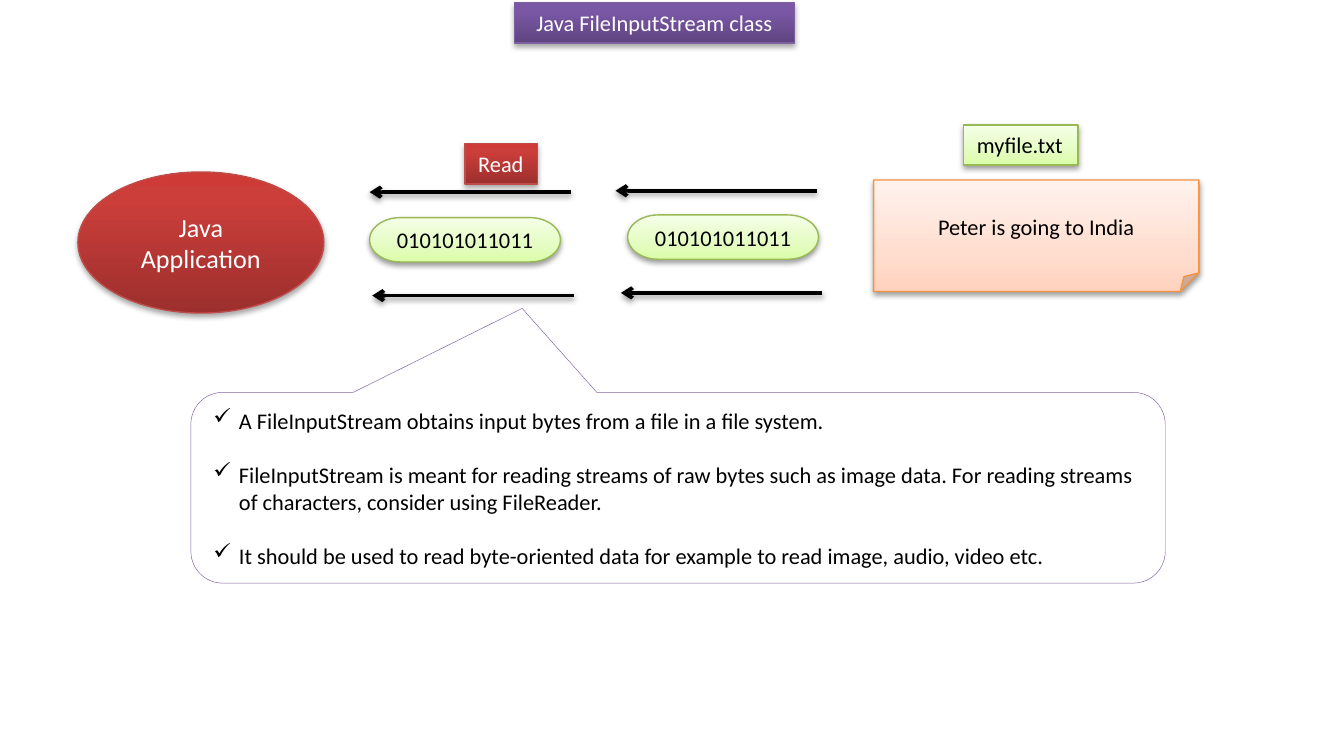
from dataclasses import dataclass

from lxml import etree
from pptx import Presentation
from pptx.dml.color import RGBColor
from pptx.enum import shapes, text
from pptx.oxml import ns
from pptx.util import Inches, Pt


@dataclass(frozen=True)
class Style:
    stops: tuple
    outline: str
    ink: str
    shadow_distance: float = 1.6
    shadow_opacity: int = 38


@dataclass(frozen=True)
class Theme:
    font: str = "Calibri"
    body: float = 12
    large: float = 14
    paragraph_gap: float = 14.5
    black: str = "000000"
    white: str = "FFFFFF"
    callout_line: str = "8064A2"
    purple: Style = Style(((0, "5F4480"), (80, "7B58A6"), (100, "7C57A8")),
                          "7D60A0", "FFFFFF", 1.8, 35)
    red: Style = Style(((0, "9C2F2D"), (80, "CB3E3A"), (100, "CE3B37")),
                       "BF4C48", "FFFFFF", 1.8, 35)
    green: Style = Style(((0, "DAFDA7"), (35, "E4FCC2"), (100, "F5FFE7")),
                         "98B955", "000000")
    orange: Style = Style(((0, "FFD2BD"), (35, "FFDED0"), (100, "FFF2ED")),
                          "F69240", "000000")


THEME = Theme()


def add_xml(parent, tag, **attributes):
    return etree.SubElement(parent, ns.qn(tag), attributes)


def add_color(parent, color):
    return add_xml(parent, "a:srgbClr", val=color)


def add_shadow(effects, distance, opacity):
    shadow = add_xml(effects, "a:outerShdw", blurRad=str(Pt(3.1)),
                     dist=str(Pt(distance)), dir="5400000", rotWithShape="0")
    add_xml(add_color(shadow, THEME.black), "a:alpha", val=str(opacity * 1000))


def set_line(line, color, width):
    line.color.rgb = RGBColor.from_string(color)
    line.width = Pt(width)


def decorate(shape, style):
    shape.fill.gradient()
    shape.fill.gradient_angle = 90
    properties = shape.element.spPr
    stops = properties.find(".//" + ns.qn("a:gsLst"))
    for stop in list(stops):
        stops.remove(stop)
    for position, color in style.stops:
        add_color(add_xml(stops, "a:gs", pos=str(position * 1000)), color)
    set_line(shape.line, style.outline, 0.75)
    shape.shadow.inherit = False
    add_shadow(properties.find(ns.qn("a:effectLst")),
               style.shadow_distance, style.shadow_opacity)


def write(shape, *paragraphs, color=THEME.black, size=THEME.body,
          align=text.PP_ALIGN.CENTER, anchor=text.MSO_ANCHOR.MIDDLE,
          wrap=True, grow=False, bullet=None):
    frame = shape.text_frame
    frame.word_wrap = wrap
    frame.vertical_anchor = anchor
    frame.auto_size = (text.MSO_AUTO_SIZE.SHAPE_TO_FIT_TEXT if grow
                       else text.MSO_AUTO_SIZE.NONE)
    for index, content in enumerate(paragraphs):
        paragraph = frame.add_paragraph() if index else frame.paragraphs[0]
        paragraph.text = content
        paragraph.alignment = align
        if bullet:
            indent = Inches(0.19)
            properties = paragraph._p.get_or_add_pPr()
            properties.set("marL", str(indent))
            properties.set("indent", str(-indent))
            add_xml(properties, "a:buChar", char=bullet)
        if index:
            paragraph.space_before = Pt(THEME.paragraph_gap)
        paragraph.font.name = THEME.font
        paragraph.font.size = Pt(size)
        paragraph.font.color.rgb = RGBColor.from_string(color)


def place(shape, left, top, width, height):
    shape.left, shape.top = Inches(left), Inches(top)
    shape.width, shape.height = Inches(width), Inches(height)


def add_title(slide, content):
    title = slide.shapes.title
    place(title, 3.83, 0.02, 2.08, 0.3)
    decorate(title, THEME.purple)
    write(title, content, color=THEME.purple.ink,
          anchor=text.MSO_ANCHOR.TOP)


def add_node(slide, kind, box, content, style, **text_format):
    node = slide.shapes.add_shape(kind, *map(Inches, box))
    decorate(node, style)
    write(node, content, color=style.ink, **text_format)


def add_label(slide, box, content, style):
    add_node(slide, shapes.MSO_SHAPE.RECTANGLE, box, content, style,
             align=text.PP_ALIGN.LEFT, anchor=text.MSO_ANCHOR.TOP,
             wrap=False, grow=True)


def add_flow_arrow(slide, tip, y):
    arrow = slide.shapes.add_connector(
        shapes.MSO_CONNECTOR.STRAIGHT,
        Inches(tip + 1.5), Inches(y), Inches(tip), Inches(y))
    set_line(arrow.line, THEME.black, 2)
    properties = arrow.element.spPr
    add_xml(properties.find(ns.qn("a:ln")), "a:tailEnd", type="arrow")
    add_shadow(add_xml(properties, "a:effectLst"), 1.6, 38)


def add_callout(slide, box, points):
    callout = slide.shapes.add_shape(
        shapes.MSO_SHAPE.ROUNDED_RECTANGULAR_CALLOUT, *map(Inches, box))
    callout.adjustments[0] = -0.16
    callout.adjustments[1] = -0.94
    callout.fill.solid()
    callout.fill.fore_color.rgb = RGBColor.from_string(THEME.white)
    set_line(callout.line, THEME.callout_line, 0.25)
    callout.shadow.inherit = False
    write(callout, *points, align=text.PP_ALIGN.LEFT, bullet="✓")


def main():
    deck = Presentation()
    deck.slide_width, deck.slide_height = Inches(10), Inches(5.5)
    slide = deck.slides.add_slide(deck.slide_layouts[5])
    kinds = shapes.MSO_SHAPE

    add_title(slide, "Java FileInputStream class")
    add_node(slide, kinds.FOLDED_CORNER, (6.5, 1.34, 2.42, 0.83),
             "Peter is going to India", THEME.orange)
    add_label(slide, (7.17, 0.93, 0.85, 0.3), "myfile.txt", THEME.green)
    add_node(slide, kinds.OVAL, (0.58, 1.28, 1.83, 1.05),
             "Java Application", THEME.red, size=THEME.large)
    for left, top in ((2.75, 1.62), (4.67, 1.6)):
        add_node(slide, kinds.FLOWCHART_TERMINATOR, (left, top, 1.42, 0.33),
                 "010101011011", THEME.green)
    for tip, y in ((4.58, 1.42), (2.75, 1.43), (4.62, 2.18), (2.77, 2.2)):
        add_flow_arrow(slide, tip, y)
    add_callout(slide, (1.42, 2.92, 7.25, 1.42), (
        "A FileInputStream obtains input bytes from a file in a file system.",
        "FileInputStream is meant for reading streams of raw bytes such as "
        "image data. For reading streams of characters, consider using "
        "FileReader.",
        "It should be used to read byte-oriented data for example to read "
        "image, audio, video etc.",
    ))
    add_label(slide, (3.46, 1.07, 0.54, 0.3), "Read", THEME.red)
    deck.save("out.pptx")


if __name__ == "__main__":
    main()
